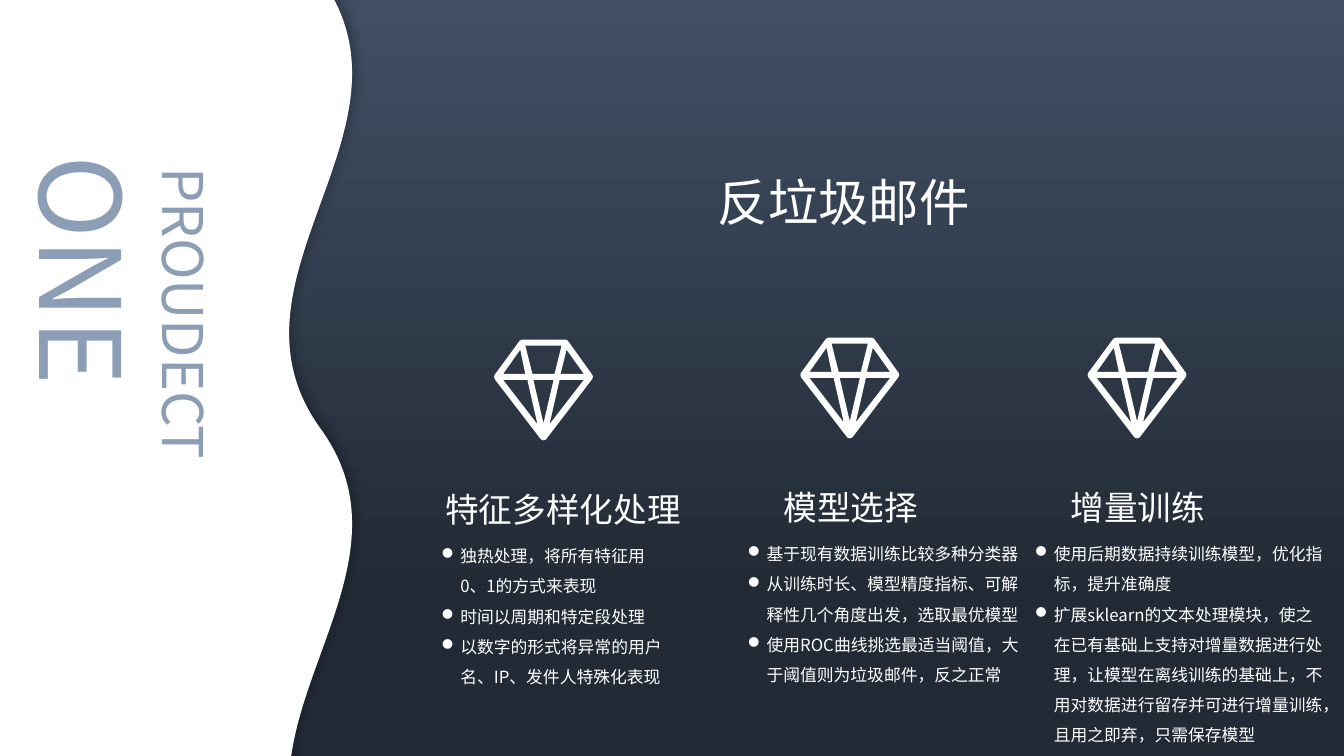
from lxml import etree
from pptx import Presentation
from pptx.dml.color import RGBColor
from pptx.enum import shapes, text
from pptx.oxml import parse_xml
from pptx.oxml.ns import nsdecls, qn
from pptx.util import Pt

WHITE = RGBColor(0xFF, 0xFF, 0xFF)
SLATE = RGBColor(0x40, 0x4F, 0x64)
NIGHT = RGBColor(0x22, 0x2A, 0x35)
STEEL = RGBColor(0x8C, 0x9D, 0xB6)
SC_FONT = "Noto Sans CJK SC"
JP_FONT = "Noto Sans CJK JP"
ALIGN = text.PP_ALIGN

# Diamond contours in tenths of a point: the outline, then its six facets
DIAMOND = [
    [(706, 266), (702, 252), (526, 7), (511, 0), (202, 0), (184, 7), (4, 252),
     (0, 266), (5, 283), (335, 713), (353, 720), (371, 713), (700, 283)],
    [(482, 43), (432, 245), (274, 245), (223, 43)],
    [(187, 72), (223, 245), (65, 245)],
    [(65, 288), (238, 288), (310, 605)],
    [(353, 598), (281, 288), (425, 288)],
    [(396, 605), (468, 288), (641, 288)],
    [(475, 245), (518, 72), (641, 245)],
]

# left, top, heading width, body width, body height, heading, points
COLUMNS = [
    (308.2, 242.6, 187.9, 175, 113.8, "特征多样化处理", [
        "独热处理，将所有特征用0、1的方式来表现",
        "时间以周期和特定段处理",
        "以数字的形式将异常的用户名、IP、发件人特殊化表现"]),
    (527, 241.2, 161.3, 211.7, 113.8, "模型选择", [
        "基于现有数据训练比较多种分类器",
        "从训练时长、模型精度指标、可解释性几个角度出发，选取最优模型",
        "使用ROC曲线挑选最适当阈值，大于阈值则为垃圾邮件，反之正常"]),
    (732.2, 241.2, 161.3, 222.5, 162.7, "增量训练", [
        "使用后期数据持续训练模型，优化指标，提升准确度",
        "扩展sklearn的文本处理模块，使之在已有基础上支持对增量数据进行处理，"
        "让模型在离线训练的基础上，不用对数据进行留存并可进行增量训练，"
        "且用之即弃，只需保存模型"]),
]

presentation = Presentation()
presentation.slide_width = Pt(960)
presentation.slide_height = Pt(540)
slide = presentation.slides.add_slide(presentation.slide_layouts[6])


def add_text(box, lines, size, font=SC_FONT, color=WHITE, align=None, spacing=None):
    """Add a wrapping text box at box (left, top, width, height), one paragraph a line."""
    shape = slide.shapes.add_textbox(*map(Pt, box))
    frame = shape.text_frame
    frame.word_wrap = True
    frame.auto_size = text.MSO_AUTO_SIZE.SHAPE_TO_FIT_TEXT
    for index, line in enumerate(lines):
        paragraph = frame.add_paragraph() if index else frame.paragraphs[0]
        paragraph.alignment = align
        paragraph.line_spacing = spacing
        run = paragraph.add_run()
        run.text = line
        run.font.size = Pt(size)
        run.font.name = font
        run.font.color.rgb = color
        east_asian = etree.SubElement(run.font._element, qn("a:ea"))
        east_asian.set("typeface", font)
    return frame


background = slide.shapes.add_shape(
    shapes.MSO_SHAPE.RECTANGLE, 0, 0, Pt(960), Pt(540))
background.shadow.inherit = False
background.line.fill.background()
background.fill.gradient()
background.fill.gradient_angle = 270
for stop, position, color in zip(
        background.fill.gradient_stops, (0, 0.79), (SLATE, NIGHT)):
    stop.position = position
    stop.color.rgb = color

wave = slide.shapes.add_shape(
    shapes.MSO_SHAPE.DOUBLE_WAVE, Pt(-235.4), Pt(140.4), Pt(646.6), Pt(329))
wave.rotation = 270
wave.adjustments[0] = 0.071
wave.adjustments[1] = -0.002
wave.fill.solid()
wave.fill.fore_color.rgb = WHITE
wave.line.fill.background()
wave._element.spPr.append(parse_xml(
    f'<a:effectLst {nsdecls("a")}>'
    f'<a:outerShdw blurRad="{Pt(10)}" dist="{Pt(3)}" dir="16200000" rotWithShape="0">'
    '<a:srgbClr val="000000"><a:alpha val="38000"/></a:srgbClr>'
    '</a:outerShdw></a:effectLst>'))

for box, word, size in [((96.5, 112.3, 87.1, 303.1), "PROUDECT", 40),
                        ((0, 103.7, 159.8, 311.8), "ONE", 80)]:
    frame = add_text(box, [word], size, JP_FONT, STEEL, ALIGN.JUSTIFY, 1.5)
    frame._txBody.bodyPr.set("vert", "eaVert")

for left, top, heading_width, body_width, body_height, heading, points in COLUMNS:
    builder = slide.shapes.build_freeform(*DIAMOND[0][0], scale=Pt(0.1))
    builder.add_line_segments(DIAMOND[0][1:])
    for facet in DIAMOND[1:]:
        builder.move_to(*facet[0])
        builder.add_line_segments(facet[1:])
    diamond = builder.convert_to_shape(Pt(left + 44.7), Pt(top))
    diamond.shadow.inherit = False
    diamond.fill.solid()
    diamond.fill.fore_color.rgb = WHITE
    diamond.line.fill.background()

    body = add_text((left, top + 136.5, body_width, body_height), points, 12, spacing=1.5)
    for paragraph in body.paragraphs:
        properties = paragraph._p.get_or_add_pPr()
        properties.set("marL", str(Pt(13.5)))
        properties.set("indent", str(Pt(-13.5)))
        etree.SubElement(properties, qn("a:buFont")).set("typeface", "Wingdings")
        etree.SubElement(properties, qn("a:buChar")).set("char", "l")
    add_text((left, top + 103, heading_width, 36), [heading], 24, align=ALIGN.CENTER)

add_text((324.7, 97.2, 555.8, 64.8), ["反垃圾邮件"], 36, align=ALIGN.CENTER, spacing=1.5)

presentation.save("out.pptx")
